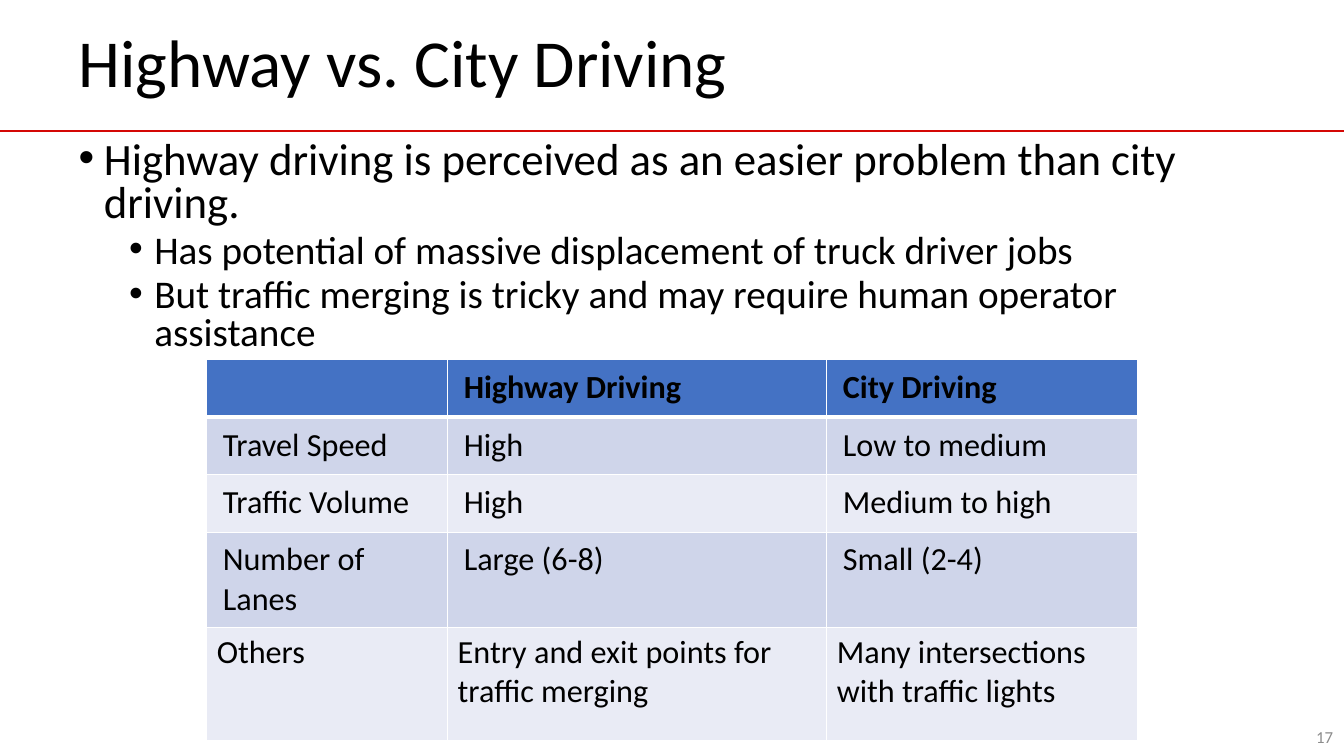
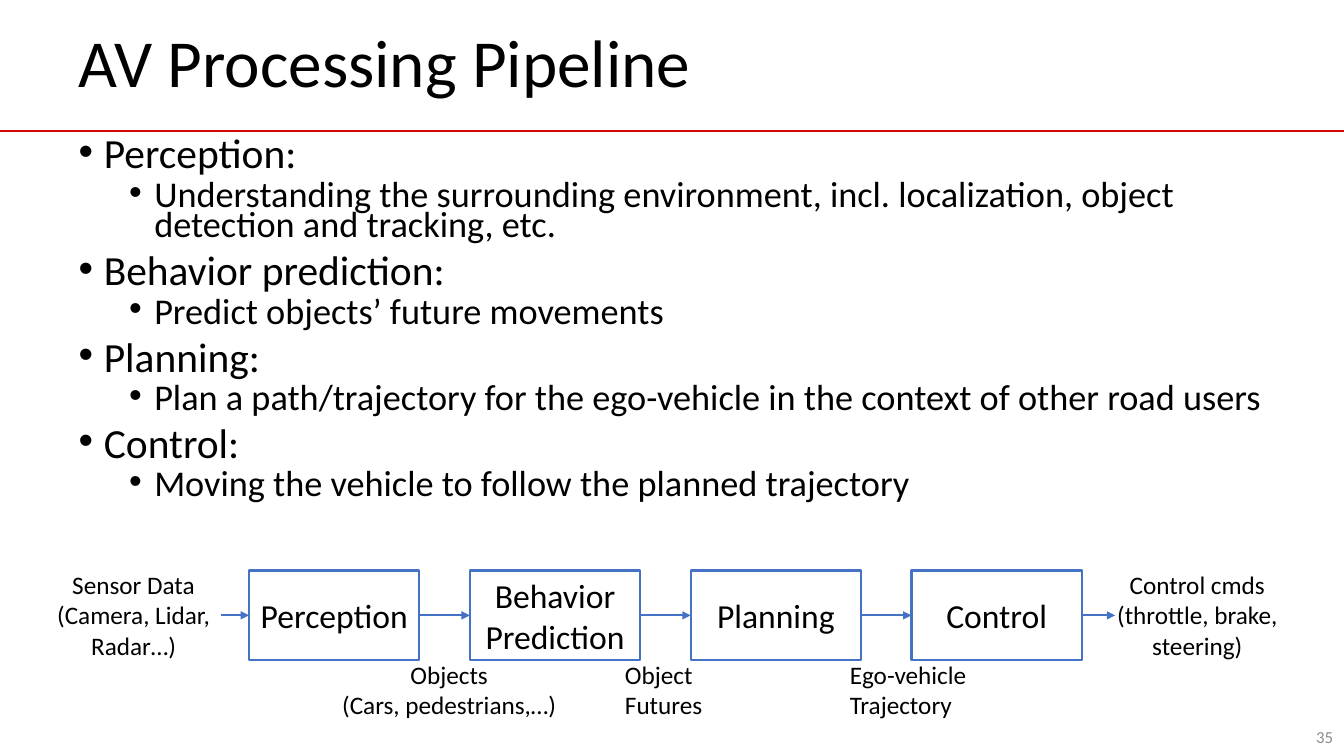
from lxml import etree
from pptx import Presentation
from pptx.dml.color import RGBColor
from pptx.enum.shapes import MSO_CONNECTOR, MSO_SHAPE
from pptx.enum.text import MSO_ANCHOR, MSO_AUTO_SIZE, PP_ALIGN
from pptx.oxml.ns import qn
from pptx.util import Inches, Pt

BLACK = RGBColor(0x00, 0x00, 0x00)
WHITE = RGBColor(0xFF, 0xFF, 0xFF)
RED = RGBColor(0xD4, 0x08, 0x05)
BLUE = RGBColor(0x44, 0x72, 0xC4)
GREY = RGBColor(0x8C, 0x8C, 0x8C)
BAND_DARK = RGBColor(0xCF, 0xD5, 0xEA)
BAND_LIGHT = RGBColor(0xE9, 0xEB, 0xF5)

FONT = "Calibri"
LEFT, CENTER, RIGHT = PP_ALIGN.LEFT, PP_ALIGN.CENTER, PP_ALIGN.RIGHT
TOP, MIDDLE = MSO_ANCHOR.TOP, MSO_ANCHOR.MIDDLE


class Deck:
    """Holds the shared style and the slide being built."""

    def __init__(self):
        self.prs = Presentation()
        self.prs.slide_width = Inches(13.33)
        self.prs.slide_height = Inches(7.5)
        self.s = None

    # Shared helpers
    def place(self, sp, x, y, w, h):
        sp.left, sp.top = Inches(x), Inches(y)
        sp.width, sp.height = Inches(w), Inches(h)

    def style(self, p, size, color=BLACK, bold=False, align=LEFT):
        p.alignment = align
        for r in p.runs:
            r.font.name = FONT
            r.font.size = Pt(size)
            r.font.bold = bold
            r.font.color.rgb = color

    def fill_text(self, sp, text, size, color=BLACK, align=LEFT, anchor=TOP,
                  wrap=True):
        tf = sp.text_frame
        tf.text = text
        tf.word_wrap = wrap
        tf.auto_size = MSO_AUTO_SIZE.NONE
        tf.vertical_anchor = anchor
        for p in tf.paragraphs:
            self.style(p, size, color, align=align)
        return tf

    # Slide frame: title, red rule and page number
    def new_slide(self, title, number):
        self.s = self.prs.slides.add_slide(self.prs.slide_layouts[1])
        self.line((0, 1.3), (13.33, 1.3), RED, 1)
        sp = self.s.shapes.title
        self.place(sp, 0.68, 0.07, 11.97, 1.17)
        tf = self.fill_text(sp, title, 48, anchor=MIDDLE)
        tf.paragraphs[0].line_spacing = 0.9
        self.text(str(number), 10.32, 7.11, 3, 0.4, 12, GREY, RIGHT, MIDDLE)

    # Bulleted list: items are (level, text), sizes are one per level
    def bullets(self, items, height, sizes, spacing):
        sp = self.s.placeholders[1]
        self.place(sp, 0.68, 1.35, 11.95, height)
        tf = self.fill_text(sp, "\n".join(text for _, text in items), sizes[0])
        for i, (p, (level, _)) in enumerate(zip(tf.paragraphs, items)):
            p.level = level
            p.line_spacing = spacing
            p.space_before = Pt((10, 5)[level] if i else 0)
            pPr = p._p.get_or_add_pPr()
            pPr.set("marL", str(Inches(0.25 + 0.5 * level)))
            pPr.set("indent", str(Inches(-0.25)))
            etree.SubElement(pPr, qn("a:buFont"), typeface="Arial")
            etree.SubElement(pPr, qn("a:buChar"), char="•")
            self.style(p, sizes[level])

    def text(self, text, x, y, w, h, size, color=BLACK, align=LEFT,
             anchor=TOP, wrap=True):
        sp = self.s.shapes.add_textbox(0, 0, 0, 0)
        self.place(sp, x, y, w, h)
        self.fill_text(sp, text, size, color, align, anchor, wrap)
        return sp

    def box(self, text, x, y, w, h, size):
        sp = self.s.shapes.add_shape(MSO_SHAPE.RECTANGLE, 0, 0, 0, 0)
        self.place(sp, x, y, w, h)
        sp.shadow.inherit = False
        sp.fill.solid()
        sp.fill.fore_color.rgb = WHITE
        sp.line.color.rgb = BLUE
        sp.line.width = Pt(1.5)
        self.fill_text(sp, text, size, align=CENTER, anchor=MIDDLE)
        return sp

    def line(self, start, end, color, width):
        sp = self.s.shapes.add_connector(
            MSO_CONNECTOR.STRAIGHT, *map(Inches, start + end))
        sp.line.color.rgb = color
        sp.line.width = Pt(width)
        etree.SubElement(sp._element.spPr, qn("a:effectLst"))
        return sp

    def arrow(self, start, end, source=None, target=None):
        sp = self.line(start, end, BLUE, 1.5)
        etree.SubElement(sp.line._get_or_add_ln(), qn("a:tailEnd"),
                         type="triangle")
        if source is not None:
            sp.begin_connect(source, 3)
        if target is not None:
            sp.end_connect(target, 1)

    # Table with a blue header and banded rows
    def borders(self, cell, **widths):
        tcPr = cell._tc.get_or_add_tcPr()
        for side in "LRTB":
            ln = etree.SubElement(tcPr, qn("a:ln" + side),
                                  w=str(Pt(widths.get(side, 1))))
            solid = etree.SubElement(ln, qn("a:solidFill"))
            etree.SubElement(solid, qn("a:srgbClr"), val=str(WHITE))

    def table(self, rows, x, y, col_widths, row_heights):
        tbl = self.s.shapes.add_table(
            len(rows), len(col_widths), Inches(x), Inches(y),
            Inches(sum(col_widths)), Inches(sum(row_heights))).table
        for col, w in zip(tbl.columns, col_widths):
            col.width = Inches(w)
        for i, (values, h) in enumerate(zip(rows, row_heights)):
            tbl.rows[i].height = Inches(h)
            color = BLUE if i == 0 else (BAND_LIGHT, BAND_DARK)[i % 2]
            rule = {0: {"B": 3}, 1: {"T": 3}}.get(i, {})
            last = i == len(rows) - 1
            for j, value in enumerate(values):
                cell = tbl.cell(i, j)
                self.borders(cell, **rule)
                cell.fill.solid()
                cell.fill.fore_color.rgb = color
                cell.margin_left = cell.margin_right = Inches(0.1 if last else 0.16)
                cell.margin_top = cell.margin_bottom = Inches(0.05 if last else 0.08)
                cell.text_frame.text = value
                self.style(cell.text_frame.paragraphs[0], 23, bold=i == 0)


def driving_slide(deck):
    deck.new_slide("Highway vs. City Driving", 17)
    deck.bullets([
        (0, "Highway driving is perceived as an easier problem than city driving."),
        (1, "Has potential of massive displacement of truck driver jobs"),
        (1, "But traffic merging is tricky and may require human operator assistance"),
    ], 2.32, (32, 28), 0.8)
    deck.table([
        ("", "Highway Driving", "City Driving"),
        ("Travel Speed", "High", "Low to medium"),
        ("Traffic Volume", "High", "Medium to high"),
        ("Number of Lanes", "Large (6-8)", "Small (2-4)"),
        ("Others", "Entry and exit points for traffic merging",
         "Many intersections with traffic lights"),
    ], 2.05, 3.57, (2.39, 3.76, 3.08), (0.57, 0.57, 0.57, 0.88, 1.12))


def pipeline_slide(deck):
    deck.new_slide("AV Processing Pipeline", 35)
    deck.bullets([
        (0, "Perception:"),
        (1, "Understanding the surrounding environment, incl. localization, "
            "object detection and tracking, etc."),
        (0, "Behavior prediction:"),
        (1, "Predict objects’ future movements"),
        (0, "Planning:"),
        (1, "Plan a path/trajectory for the ego-vehicle in the context of "
            "other road users"),
        (0, "Control:"),
        (1, "Moving the vehicle to follow the planned trajectory"),
    ], 4.19, (29.6, 25.9), 0.7)

    # Pipeline stages, evenly spaced
    x0, pitch, y, w, h = 2.47, 2.19, 5.66, 1.69, 0.89
    mid = y + h / 2
    names = ("Perception", "Behavior Prediction", "Planning", "Control")
    stages = [deck.box(name, x0 + i * pitch, y, w, h, 24)
              for i, name in enumerate(names)]

    # Input and output
    sensors = deck.text("Sensor Data\n(Camera, Lidar, Radar…)",
                        0.46, 5.6, 1.73, 1.01, 18, align=CENTER)
    deck.text("Control cmds\n(throttle, brake, steering)",
              10.97, 5.6, 1.81, 1.01, 18, align=CENTER)

    # Arrows from each part to the next
    chain = [sensors] + stages
    for source, target in zip(chain, stages):
        deck.arrow((0, mid), (1, mid), source, target)
    deck.arrow((x0 + 3 * pitch + w, mid), (11.06, mid), stages[-1])

    # Data passed between stages
    for label, x, width, align in (
            ("Objects\n(Cars, pedestrians,…)", 3.28, 2.35, CENTER),
            ("Object\nFutures", 6.1, 0.98, LEFT),
            ("Ego-vehicle\nTrajectory", 8.33, 1.37, LEFT)):
        deck.text(label, x, 6.49, width, 0.71, 18, align=align, wrap=False)


def main():
    deck = Deck()
    driving_slide(deck)
    pipeline_slide(deck)
    deck.prs.save("out.pptx")


if __name__ == "__main__":
    main()
